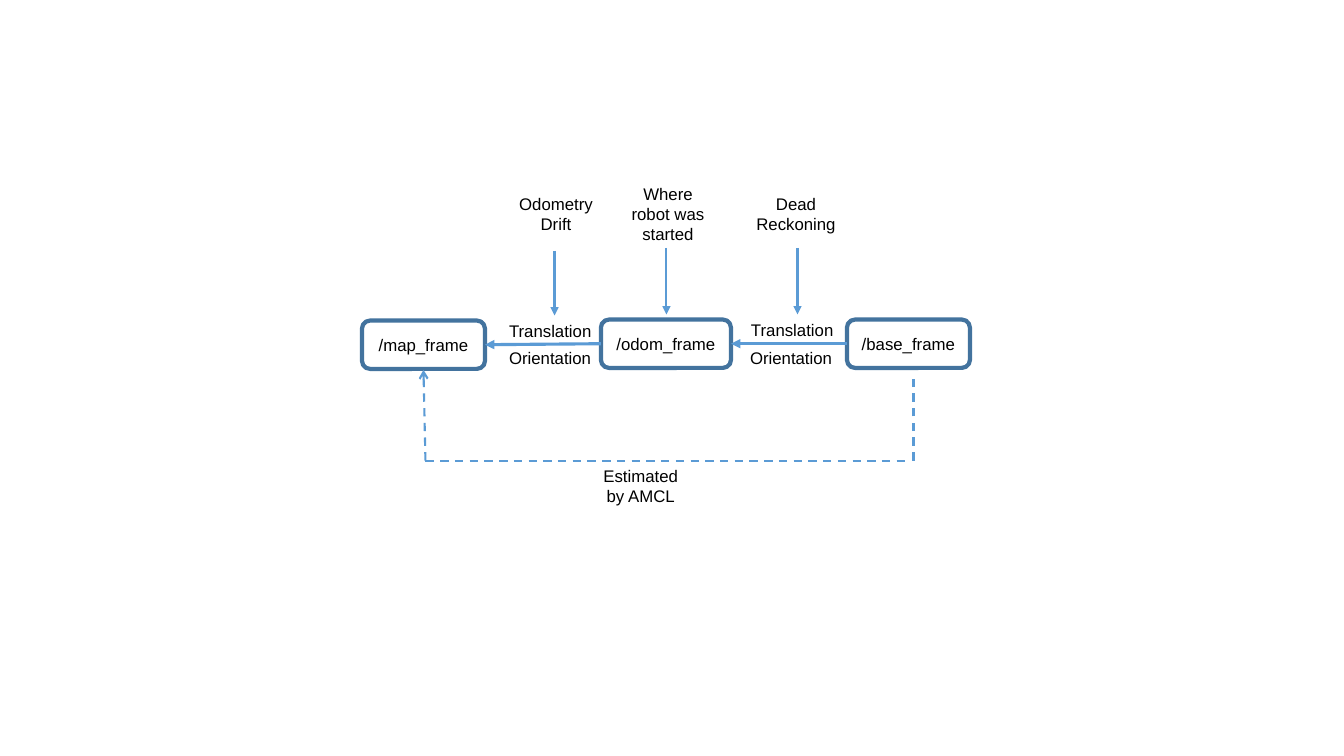
from lxml import etree
from pptx import Presentation
from pptx.dml.color import RGBColor
from pptx.enum.dml import MSO_LINE_DASH_STYLE as Dash
from pptx.enum.shapes import MSO_CONNECTOR, MSO_SHAPE
from pptx.enum.text import MSO_ANCHOR, PP_ALIGN
from pptx.oxml.ns import qn
from pptx.util import Inches, Pt

COLORS = {"border": "43739E", "arrow": "5B9BD5", "text": "000000"}
FONT = {"name": "Arial", "size": Pt(12)}
LABEL_WIDTH = 1.11
LINE_HEIGHT = 0.2
FRAME_HEIGHT = 0.48


def color(name):
    return RGBColor.from_string(COLORS[name])


def write(shape, text, align, anchor):
    frame = shape.text_frame
    for key, value in {"word_wrap": True, "vertical_anchor": anchor}.items():
        setattr(frame, key, value)
    para = frame.paragraphs[0]
    para.alignment = align
    span = para.add_run()
    span.text = text
    for key, value in FONT.items():
        setattr(span.font, key, value)
    span.font.color.rgb = color("text")


def add_label(page, left, top, text, lines=1, align=PP_ALIGN.CENTER):
    height = 0.1 + lines * LINE_HEIGHT
    box = page.shapes.add_textbox(*map(Inches, (left, top, LABEL_WIDTH, height)))
    write(box, text, align, MSO_ANCHOR.TOP)


def add_line(page, start, end, width=1.5, head=None, dash=None):
    line = page.shapes.add_connector(
        MSO_CONNECTOR.STRAIGHT, *map(Inches, (*start, *end)))
    line.line.color.rgb = color("arrow")
    line.line.width = Pt(width)
    if dash:
        line.line.dash_style = dash
    if head:
        etree.SubElement(line.line._get_or_add_ln(), qn("a:tailEnd"), type=head)
    etree.SubElement(line._element.spPr, qn("a:effectLst"))


def add_frame(page, left, top, width, text):
    box = page.shapes.add_shape(
        MSO_SHAPE.ROUNDED_RECTANGLE,
        *map(Inches, (left, top, width, FRAME_HEIGHT)))
    box.shadow.inherit = False
    box.fill.background()
    box.line.color.rgb = color("border")
    box.line.width = Pt(3)
    # Narrow side insets keep each frame name on one line
    box.text_frame.margin_left = box.text_frame.margin_right = Inches(0.05)
    write(box, text, PP_ALIGN.CENTER, MSO_ANCHOR.MIDDLE)


def add_transform(page, start, end, upper, lower):
    """Arrow between two frames, with its two components above and below."""
    add_line(page, start, end, 2.25, "triangle")
    for text, (left, top) in (("Translation", upper), ("Orientation", lower)):
        add_label(page, left, top, text, align=PP_ALIGN.LEFT)


def add_cause(page, left, top, text, lines, arrow_x, arrow_top, arrow_end):
    """Explanation with an arrow pointing down to what it explains."""
    add_label(page, left, top, text, lines)
    add_line(page, (arrow_x, arrow_top), (arrow_x, arrow_end), head="triangle")


def add_estimate(page, left, right, bottom):
    """Dashed path leading from the base frame back to the map frame."""
    corner = (left, bottom)
    add_line(page, corner, (left - 0.02, bottom - 0.9), head="arrow", dash=Dash.DASH)
    add_line(page, (right, bottom), (right, bottom - 0.87), dash=Dash.DASH)
    add_line(page, corner, (right - 0.05, bottom), dash=Dash.DASH)
    add_label(page, left + 1.58, bottom, "Estimated by AMCL", 2)


def build_frames_slide(page):
    for frame in ((3.59, 3.18, 1.22, "/map_frame"),
                  (5.96, 3.17, 1.29, "/odom_frame"),
                  (8.4, 3.17, 1.22, "/base_frame")):
        add_frame(page, *frame)
    add_transform(page, (5.96, 3.41), (4.81, 3.42), (4.95, 3.13), (4.95, 3.4))
    add_transform(page, (8.4, 3.41), (7.25, 3.41), (7.35, 3.12), (7.34, 3.4))
    for cause in ((4.96, 1.87, "Odometry Drift", 2, 5.5, 2.49, 3.13),
                  (6.07, 1.77, "Where robot was started", 3, 6.61, 2.46, 3.12),
                  (7.34, 1.87, "Dead Reckoning", 2, 7.91, 2.46, 3.12)):
        add_cause(page, *cause)
    add_estimate(page, 4.22, 9.06, 4.57)


def main():
    deck = Presentation()
    deck.slide_width, deck.slide_height = Inches(13.33), Inches(7.5)
    build_frames_slide(deck.slides.add_slide(deck.slide_layouts[6]))
    deck.save("out.pptx")


if __name__ == "__main__":
    main()
